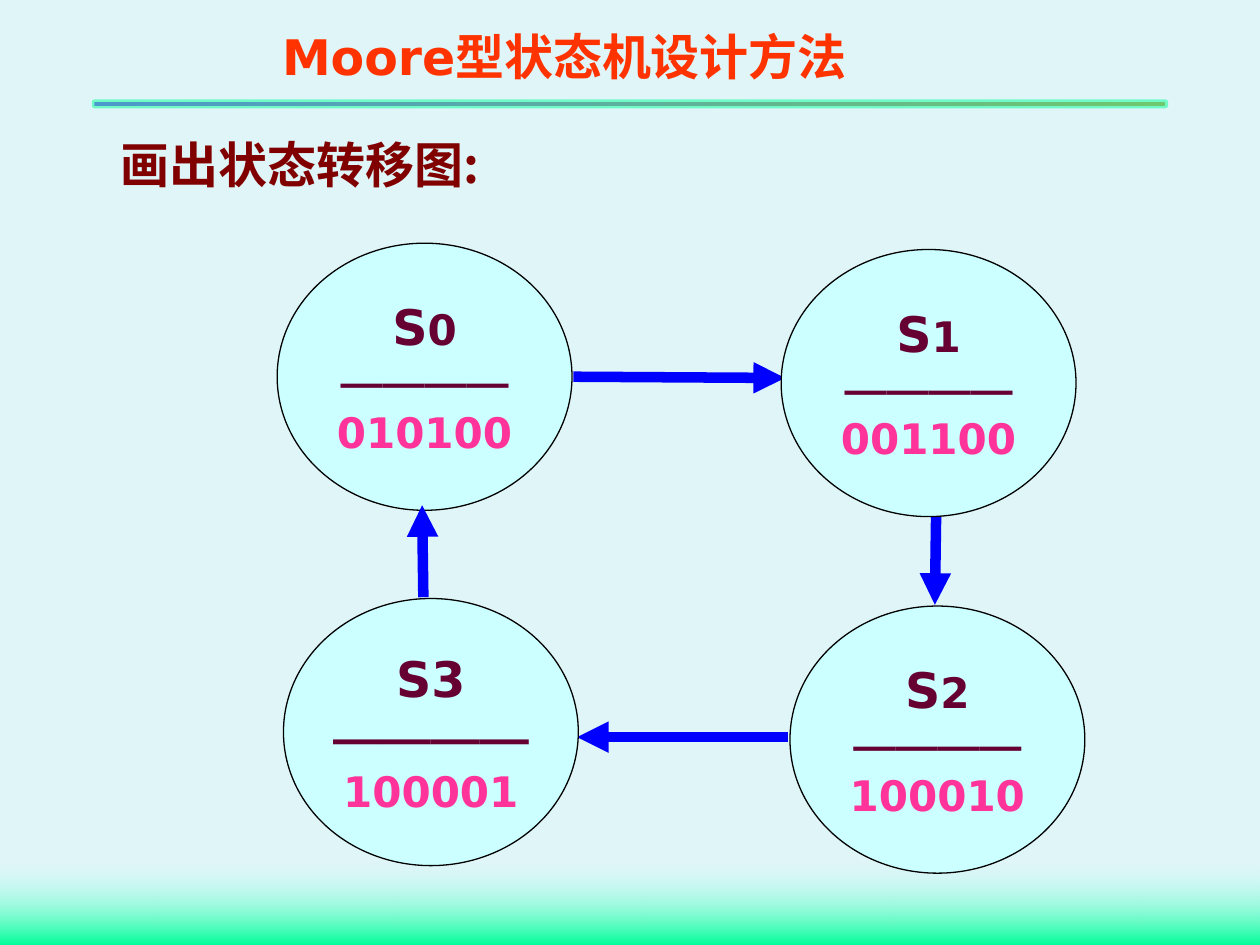
from lxml import etree
from pptx import Presentation
from pptx.dml.color import RGBColor
from pptx.enum import shapes, text
from pptx.oxml import ns
from pptx.util import Inches, Pt

LATIN = "DejaVu Sans"
CHINESE = "Noto Sans CJK SC"
STATES = [
    (2.2, 1.93, "S", "0", 24, "010100"),
    (6.2, 1.98, "S", "1", 24, "001100"),
    (6.27, 4.81, "S", "2", 24, "100010"),
    (2.25, 4.75, "S", "3", 28, "100001"),
]
TRANSITIONS = [
    (4.55, 2.99, 6.23, 3),
    (7.43, 4.06, 7.42, 4.8),
    (6.25, 5.85, 4.58, 5.85),
    (3.36, 4.74, 3.35, 4.01),
]


def color(value):
    return RGBColor.from_string(value)


def add_alpha(element, percent):
    for rgb in element.iter(ns.qn("a:srgbClr")):
        etree.SubElement(rgb, ns.qn("a:alpha"), val=str(percent * 1000))


def add_text(para, content, size=28, font=LATIN, fill="660033"):
    span = para.add_run()
    span.text = content
    span.font.size = Pt(size)
    span.font.bold = True
    span.font.name = font
    span.font.color.rgb = color(fill)
    if any("一" <= letter <= "鿿" for letter in content):
        latin = span.font._element.find(ns.qn("a:latin"))
        latin.addnext(latin.makeelement(ns.qn("a:ea"), {"typeface": CHINESE}))


class Slide:
    accent = "0000FF"
    state_fill = "CCFFFF"

    def __init__(self, deck):
        self.page = deck.slides.add_slide(deck.slide_layouts[5])
        self.page.background.fill.solid()
        self.page.background.fill.fore_color.rgb = color("E0F5F8")

    def shape(self, kind, left, top, width, height):
        shape = self.page.shapes.add_shape(
            kind, Inches(left), Inches(top), Inches(width), Inches(height))
        shape.shadow.inherit = False
        return shape

    def gradient(self, left, top, width, height, colors, angle):
        band = self.shape(shapes.MSO_SHAPE.RECTANGLE, left, top, width, height)
        band.fill.gradient()
        band.fill.gradient_angle = angle
        for stop, value, position in zip(band.fill.gradient_stops, colors, (0, 1)):
            stop.color.rgb = color(value)
            stop.position = position
        band.line.fill.background()
        return band

    def footer(self):
        band = self.gradient(0, 6.83, 10, 0.67, ("CCFFFF", "00FF99"), 270)
        first_stop = next(band._element.iter(ns.qn("a:gs")))
        add_alpha(first_stop, 0)

    def divider(self):
        band = self.gradient(0.75, 0.81, 8.5, 0.03, ("9933FF", "E09142"), 0)
        band.line.color.rgb = color("00FF99")
        band.line.width = Pt(3)
        add_alpha(band._element.spPr.find(ns.qn("a:ln")), 50)

    def caption(self, box, content, **style):
        frame = box.text_frame
        frame.word_wrap = True
        frame.auto_size = text.MSO_AUTO_SIZE.SHAPE_TO_FIT_TEXT
        frame.vertical_anchor = text.MSO_ANCHOR.TOP
        para = frame.paragraphs[0]
        para.alignment = text.PP_ALIGN.LEFT
        add_text(para, content, **style)

    def title(self, content):
        box = self.page.shapes.title
        box.left, box.top = Inches(0.77), Inches(1.02)
        box.width, box.height = Inches(4.25), Inches(0.57)
        self.caption(box, content, font=CHINESE, fill="800000")

    def heading(self, content):
        box = self.page.shapes.add_textbox(
            Inches(2.14), Inches(0.16), Inches(6.27), Inches(0.57))
        self.caption(box, content, fill="FF3300")

    def state(self, left, top, letter, number, size, output):
        oval = self.shape(shapes.MSO_SHAPE.OVAL, left, top, 2.34, 2.12)
        oval.fill.solid()
        oval.fill.fore_color.rgb = color(self.state_fill)
        oval.line.color.rgb = color("000000")
        oval.line.width = Pt(0.75)
        frame = oval.text_frame
        frame.word_wrap = False
        frame.vertical_anchor = text.MSO_ANCHOR.MIDDLE
        name, rule, code = frame.paragraphs[0], frame.add_paragraph(), frame.add_paragraph()
        for para in (name, rule, code):
            para.alignment = text.PP_ALIGN.CENTER
        if size == 28:
            add_text(name, letter + number)
        else:
            add_text(name, letter)
            add_text(name, number, size=size)
        add_text(rule, "————", size=size, font="Arial")
        add_text(code, output, size=24, fill="FF3399")

    def arrow(self, *ends):
        line = self.page.shapes.add_connector(
            shapes.MSO_CONNECTOR.STRAIGHT, *(Inches(end) for end in ends))
        line.line.color.rgb = color(self.accent)
        line.line.width = Pt(6)
        outline = line._element.spPr.find(ns.qn("a:ln"))
        etree.SubElement(outline, ns.qn("a:tailEnd"), type="triangle")
        etree.SubElement(line._element.spPr, ns.qn("a:effectLst"))


def main():
    deck = Presentation()
    deck.slide_width, deck.slide_height = Inches(10), Inches(7.5)
    slide = Slide(deck)
    slide.footer()
    slide.divider()
    slide.title(" 画出状态转移图:")
    slide.heading("Moore型状态机设计方法")
    first, *others = STATES
    slide.state(*first)
    for transition in TRANSITIONS:
        slide.arrow(*transition)
    for state in others:
        slide.state(*state)
    deck.save("out.pptx")


if __name__ == "__main__":
    main()
